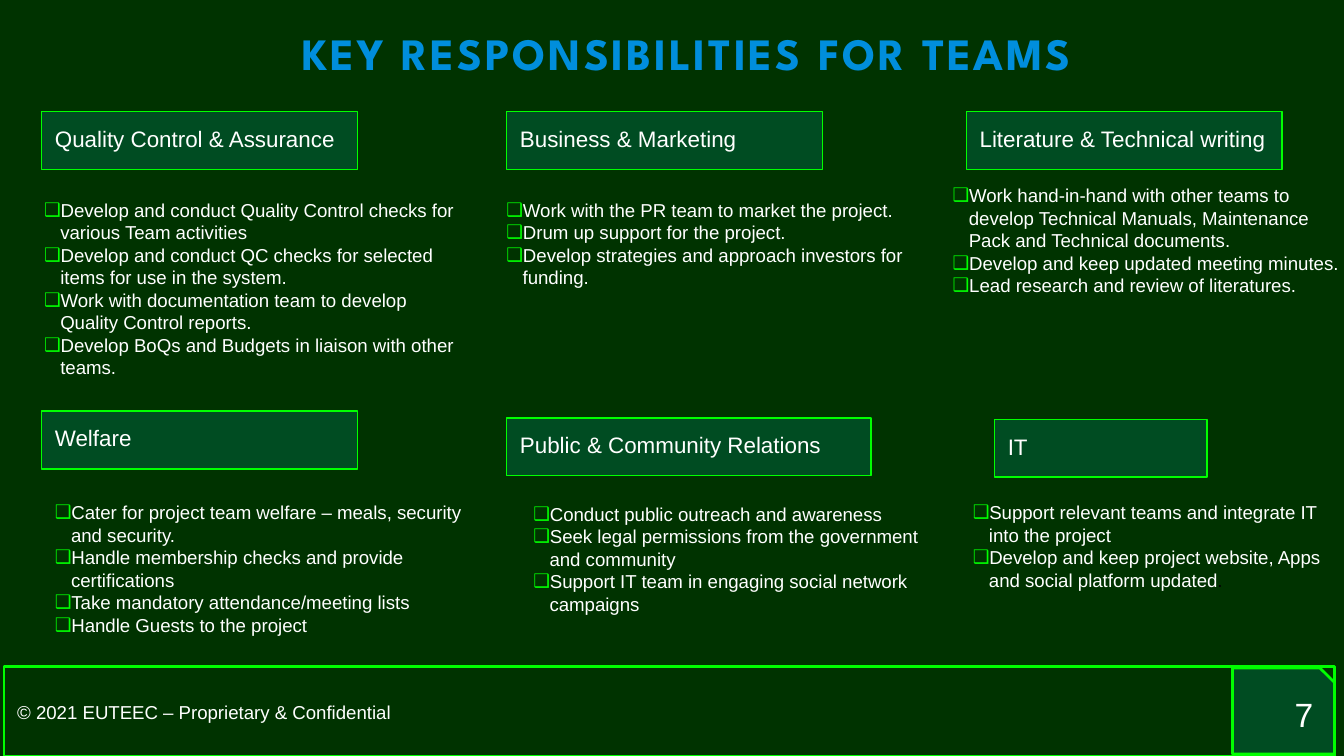
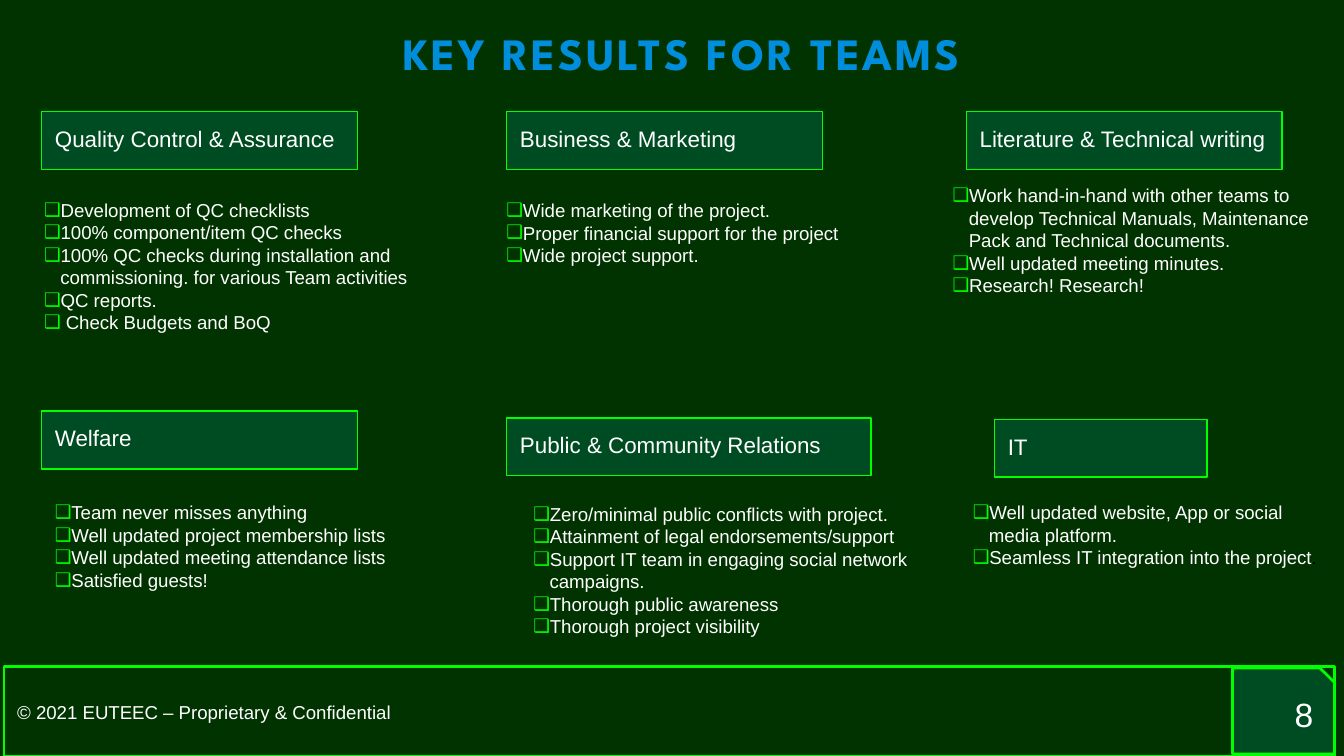
import pptx
import pptx.dml.color
import pptx.enum.shapes
import pptx.enum.text
import pptx.util
import lxml.etree
import pptx.oxml.ns

Inches, Pt = pptx.util.Inches, pptx.util.Pt
SHAPE = pptx.enum.shapes.MSO_SHAPE
ALIGN = pptx.enum.text.PP_ALIGN
ANCHOR = pptx.enum.text.MSO_ANCHOR

# Shared look
BACKGROUND, PANEL, NEON, WHITE, BLACK = "003300", "004C22", "00FF00", "FFFFFF", "000000"
TITLE_START, TITLE_END = "008EDC", "D30F64"
FOOTER = "© 2021 EUTEEC – Proprietary & Confidential"
HEADING_HEIGHT = 0.43

# Grid of team cells
COLUMNS = [0.31, 3.77, 7.19]
ROWS = [0.83, 3.11]

# Team: column, row, heading shift, heading width, bullets shift from heading, bullets width
TEAMS = {
    "Quality Control & Assurance": (0, 0, (0, 0), 2.35, (-0.08, 0.55), 3.25),
    "Business & Marketing": (1, 0, (0, 0), 2.35, (-0.1, 0.55), 3.25),
    "Literature & Technical writing": (2, 0, (0, 0), 2.35, (-0.2, 0.44), 3.09),
    "Welfare": (0, 1, (0, -0.05), 2.35, (0, 0.57), 3.25),
    "Public & Community Relations": (1, 1, (0, 0), 2.71, (0.1, 0.53), 3.18),
    "IT": (2, 1, (0.21, 0.01), 1.58, (-0.26, 0.51), 2.86),
}

# Title, title left and width, then bullets height and bullets for each team;
# what follows "|" is set in black
SLIDES = [
    ("KEY RESPONSIBILITIES FOR TEAMS", 2.18, 6.13, [
        (1.5, ["Develop and conduct Quality Control checks for various Team activities",
               "Develop and conduct QC checks for selected items for use in the system.",
               "Work with documentation team to develop Quality Control reports.",
               "Develop BoQs and Budgets in liaison with other teams."]),
        (1.16, ["Work with the PR team to market the project.",
                "Drum up support for the project.",
                "Develop strategies and approach investors for funding."]),
        (1.16, ["Work hand-in-hand with other teams to develop Technical Manuals, "
                "Maintenance Pack and Technical documents.",
                "Develop and keep updated meeting minutes.",
                "Lead research and review of literatures."]),
        (1.16, ["Cater for project team welfare – meals, security and security.",
                "Handle membership checks and provide certifications",
                "Take mandatory attendance/meeting lists",
                "Handle Guests to the project"]),
        (0.89, ["Conduct public outreach and awareness",
                "Seek legal permissions from the government and community",
                "Support IT team in engaging social network campaigns"]),
        (0.87, ["Support relevant teams and integrate IT into the project",
                "Develop and keep project website, Apps and social platform updated|."]),
    ]),
    ("KEY RESULTS FOR TEAMS", 2.93, 4.38, [
        (1.5, ["Development of QC checklists",
               "100% component/item QC checks",
               "100% QC checks during installation and commissioning. "
               "for various Team activities",
               "QC reports.",
               " Check Budgets and BoQ"]),
        (0.85, ["Wide marketing of the project.",
                "Proper financial support for the project",
                "Wide project support."]),
        (1.16, ["Work hand-in-hand with other teams to develop Technical Manuals, "
                "Maintenance Pack and Technical documents.",
                "Well updated meeting minutes.",
                "Research! Research!"]),
        (1.16, ["Team never misses anything",
                "Well updated project membership lists",
                "Well updated meeting attendance lists",
                "Satisfied guests!"]),
        (1.15, ["Zero/minimal public conflicts with project.",
                "Attainment of legal endorsements/support",
                "Support IT team in engaging social network campaigns.",
                "Thorough public awareness",
                "Thorough project visibility"]),
        (0.68, ["Well updated website, App or social media platform.",
                "Seamless IT integration into the project|."]),
    ]),
]


def color(value):
    return pptx.dml.color.RGBColor.from_string(value)


def add_box(slide, box, lines=(), size=10, preset=None, fill=None, line_width=0.75,
            anchor=ANCHOR.TOP, align=ALIGN.LEFT, margins=(0.1, 0.1)):
    """Add a text box, or an outlined shape if a preset is given, with its text."""
    box = [Inches(length) for length in box]
    if preset is None:
        shape = slide.shapes.add_textbox(*box)
    else:
        shape = slide.shapes.add_shape(preset, *box)
        shape.shadow.inherit = False
        shape.line.color.rgb = color(NEON)
        shape.line.width = Pt(line_width)
        if fill:
            shape.fill.solid()
            shape.fill.fore_color.rgb = color(fill)
        else:
            shape.fill.background()
    frame = shape.text_frame
    frame.word_wrap = True
    frame.vertical_anchor = anchor
    frame.margin_left = frame.margin_right = Inches(margins[0])
    frame.margin_top = frame.margin_bottom = Inches(margins[1])
    frame.text = "\n".join(line.partition("|")[0] for line in lines)
    for paragraph, line in zip(frame.paragraphs, lines):
        paragraph.alignment = align
        ending = line.partition("|")[2]
        if ending:
            paragraph.add_run().text = ending
        for run, run_color in zip(paragraph.runs, (WHITE, BLACK)):
            run.font.name = "Arial"
            run.font.size = Pt(size)
            run.font.color.rgb = color(run_color)
    return shape


presentation = pptx.Presentation()
presentation.slide_width = Inches(10)
presentation.slide_height = presentation.slide_width * 9 // 16
qn = pptx.oxml.ns.qn

for number, (title, title_left, title_width, contents) in enumerate(SLIDES, start=7):
    slide = presentation.slides.add_slide(presentation.slide_layouts[6])
    slide.background.fill.solid()
    slide.background.fill.fore_color.rgb = color(BACKGROUND)

    # Footer band and page number
    add_box(slide, (0.03, 4.96, 9.9, 0.67), [FOOTER], preset=SHAPE.RECTANGLE,
            line_width=1.5, anchor=ANCHOR.MIDDLE)
    corner = add_box(slide, (9.17, 4.97, 0.76, 0.64), preset=SHAPE.SNIP_1_RECTANGLE,
                     fill=PANEL, line_width=1.5)
    corner.adjustments[0] = 0.17
    add_box(slide, (9.27, 5.1, 0.6, 0.43), [str(number)], size=18,
            anchor=ANCHOR.MIDDLE, align=ALIGN.RIGHT)

    # Team headings and bullets
    for (team, layout), (height, bullets) in zip(TEAMS.items(), contents):
        column, row, heading_shift, heading_width, bullets_shift, bullets_width = layout
        left = COLUMNS[column] + heading_shift[0]
        top = ROWS[row] + heading_shift[1]
        add_box(slide, (left, top, heading_width, HEADING_HEIGHT), [team], size=12,
                preset=SHAPE.RECTANGLE, fill=PANEL)
        body = add_box(slide, (left + bullets_shift[0], top + bullets_shift[1],
                               bullets_width, height), bullets)
        for paragraph in body.text_frame.paragraphs:
            properties = paragraph._p.get_or_add_pPr()
            properties.set("marL", str(Inches(0.12)))
            properties.set("indent", str(Inches(-0.19)))
            bullet_color = lxml.etree.SubElement(properties, qn("a:buClr"))
            lxml.etree.SubElement(bullet_color, qn("a:srgbClr"), val=NEON)
            lxml.etree.SubElement(properties, qn("a:buFont"), typeface="Arial")
            lxml.etree.SubElement(properties, qn("a:buChar"), char="❑")

    # Title with gradient letters
    heading = add_box(slide, (title_left, 0.15, title_width, 0.48), [title], size=24,
                      margins=(0.07, 0.04))
    heading.text_frame.auto_size = pptx.enum.text.MSO_AUTO_SIZE.SHAPE_TO_FIT_TEXT
    run = heading.text_frame.paragraphs[0].runs[0]
    run.font.name = "League Spartan"
    run.font.bold = True
    run.font.fill.gradient()
    run.font.fill.gradient_angle = 0
    for stop, stop_color in zip(run.font.fill.gradient_stops, (TITLE_START, TITLE_END)):
        stop.color.rgb = color(stop_color)
    run._r.get_or_add_rPr().set("spc", "150")

presentation.save("out.pptx")
